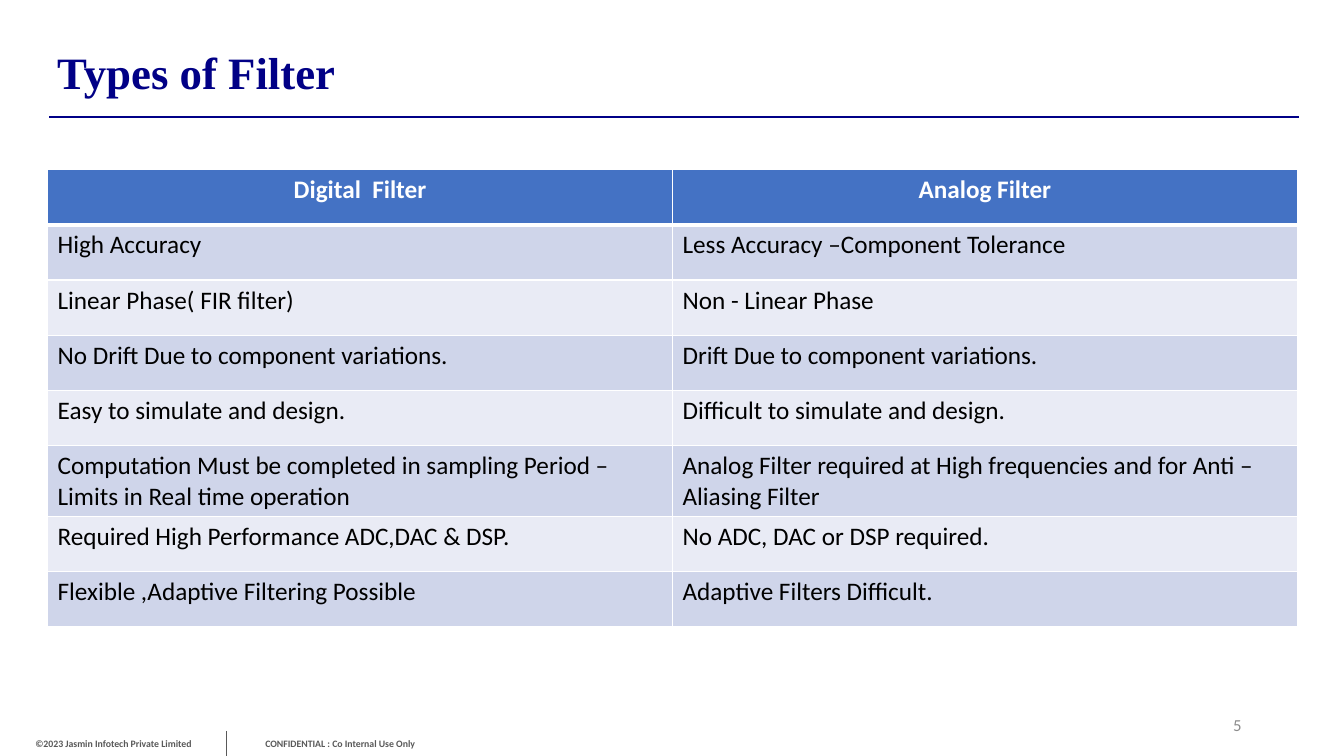
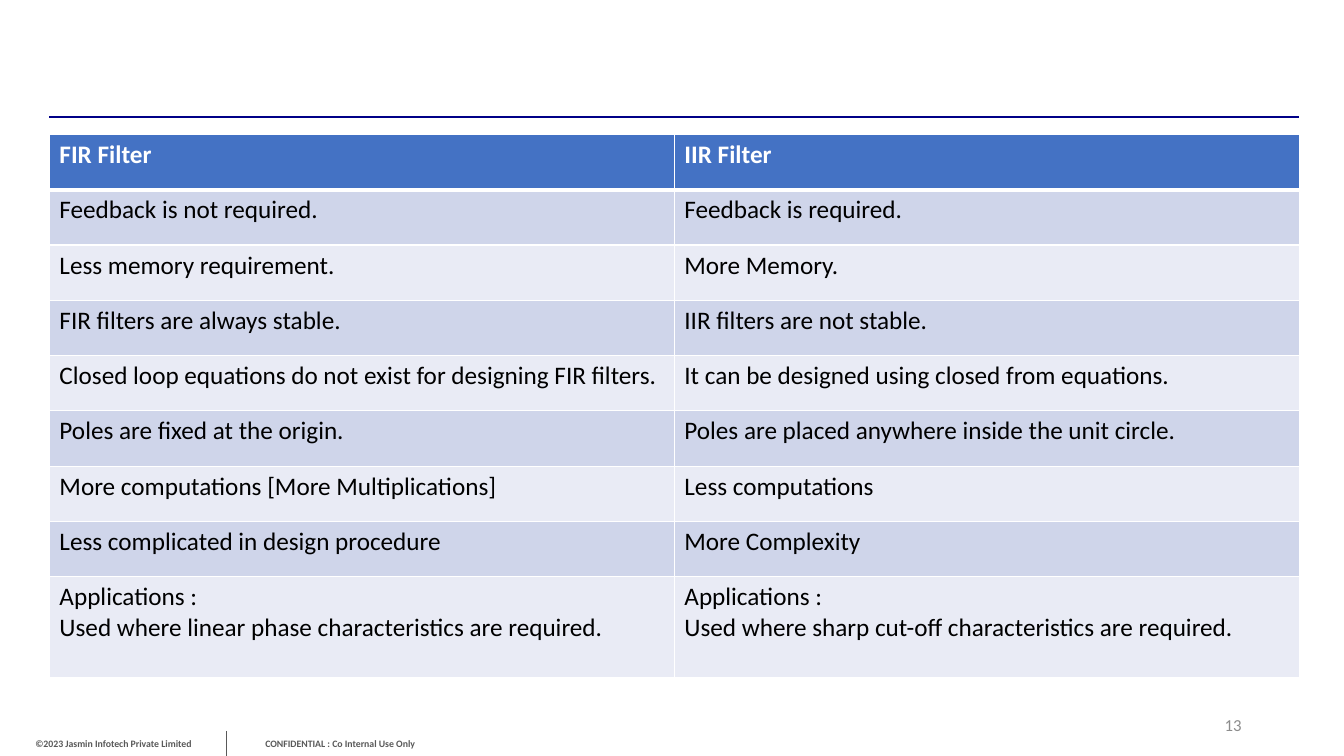
import pptx
import pptx.dml.color
import pptx.enum.shapes
import pptx.enum.text
import pptx.oxml.ns
import pptx.util
from lxml import etree

Pt = pptx.util.Pt
ALIGN = pptx.enum.text.PP_ALIGN
ANCHOR = pptx.enum.text.MSO_ANCHOR

COLOURS = {
    "title": "010086",
    "rule": "000087",
    "footer": "595959",
    "number": "8C8C8C",
    "header": "4472C4",
    "band_dark": "CFD5EA",
    "band_light": "E9EBF5",
    "white": "FFFFFF",
    "black": "000000",
}
BODY_FONT = "Calibri"
TITLE_FONT = "Times New Roman"
COLUMN_WIDTH = 446.4
ROW_HEIGHT = 39.5

FILTER_TYPES = [
    ("Digital  Filter", "Analog Filter"),
    ("High Accuracy", "Less Accuracy –Component Tolerance"),
    ("Linear Phase( FIR filter)", "Non - Linear Phase"),
    ("No Drift Due to component variations.", "Drift Due to component variations."),
    ("Easy to simulate and design.", "Difficult to simulate and design."),
    ("Computation Must be completed in sampling Period – Limits in Real time operation",
     "Analog Filter required at High frequencies and for Anti –Aliasing Filter"),
    ("Required High Performance ADC,DAC & DSP.", "No ADC, DAC or DSP required."),
    ("Flexible ,Adaptive Filtering Possible", "Adaptive Filters Difficult."),
]
FIR_AND_IIR = [
    ("FIR Filter", "IIR Filter"),
    ("Feedback is not required.", "Feedback is required."),
    ("Less memory requirement.", "More Memory."),
    ("FIR filters are always stable.", "IIR filters are not stable."),
    ("Closed loop equations do not exist for designing FIR filters.",
     "It can be designed using closed from equations."),
    ("Poles are fixed at the origin.", "Poles are placed anywhere inside the unit circle."),
    ("More computations [More Multiplications]", "Less computations"),
    ("Less complicated in design procedure", "More Complexity"),
    ("Applications :\nUsed where linear phase characteristics are required.",
     "Applications :\nUsed where sharp cut-off characteristics are required."),
]


def rgb(name):
    return pptx.dml.color.RGBColor.from_string(COLOURS[name])


def write_text(frame, text, size=18, font=BODY_FONT, colour="black", bold=False,
               align=ALIGN.LEFT):
    frame.word_wrap = True
    for index, line in enumerate(text.split("\n")):
        para = frame.add_paragraph() if index else frame.paragraphs[0]
        para.alignment = align
        span = para.add_run()
        span.text = line
        span.font.size = Pt(size)
        span.font.name = font
        span.font.bold = bold
        span.font.color.rgb = rgb(colour)


def add_text(page, text, left, top, width, height, **text_format):
    box = page.shapes.add_textbox(Pt(left), Pt(top), Pt(width), Pt(height))
    box.text_frame.vertical_anchor = ANCHOR.MIDDLE
    write_text(box.text_frame, text, **text_format)


def add_line(page, start, end, colour, width):
    line = page.shapes.add_connector(
        pptx.enum.shapes.MSO_CONNECTOR.STRAIGHT, *(Pt(value) for value in start + end))
    line.line.color.rgb = rgb(colour)
    line.line.width = Pt(width)
    etree.SubElement(line._element.spPr, pptx.oxml.ns.qn("a:effectLst"))


def set_borders(cell, top, bottom):
    properties = cell._tc.get_or_add_tcPr()
    for side, width in (("L", 1), ("R", 1), ("T", top), ("B", bottom)):
        border = etree.SubElement(properties, pptx.oxml.ns.qn("a:ln" + side), w=str(Pt(width)))
        fill = etree.SubElement(border, pptx.oxml.ns.qn("a:solidFill"))
        etree.SubElement(fill, pptx.oxml.ns.qn("a:srgbClr"), val=COLOURS["white"])


def add_comparison(page, rows, left, top, header_align=ALIGN.LEFT, last_height=ROW_HEIGHT):
    heights = [ROW_HEIGHT] * (len(rows) - 1) + [last_height]
    table = page.shapes.add_table(len(rows), 2, Pt(left), Pt(top),
                                  Pt(2 * COLUMN_WIDTH), Pt(sum(heights))).table
    for column in table.columns:
        column.width = Pt(COLUMN_WIDTH)
    for row_index, texts in enumerate(rows):
        table.rows[row_index].height = Pt(heights[row_index])
        is_header = row_index == 0
        band = "header" if is_header else "band_dark" if row_index % 2 else "band_light"
        for column_index, text in enumerate(texts):
            cell = table.cell(row_index, column_index)
            set_borders(cell, top=3 if row_index == 1 else 1, bottom=3 if is_header else 1)
            cell.fill.solid()
            cell.fill.fore_color.rgb = rgb(band)
            write_text(cell.text_frame, text, bold=is_header,
                       colour="white" if is_header else "black",
                       align=header_align if is_header else ALIGN.LEFT)


def add_page(deck, number):
    page = deck.slides.add_slide(deck.slide_layouts[6])
    footer = dict(size=7, colour="footer", bold=True, align=ALIGN.CENTER)
    add_text(page, "CONFIDENTIAL : Co Internal Use Only", 150, 523.5, 186, 15.8, **footer)
    add_text(page, "©2023 Jasmin Infotech Private Limited", 0, 523.5, 162, 15.8, **footer)
    add_line(page, (162, 522), (162, 540), "footer", 0.5)
    add_line(page, (35.3, 83.5), (928.1, 83.5), "rule", 1.5)
    add_text(page, str(number), 798, 505.5, 96, 24, size=12, colour="number",
             align=ALIGN.RIGHT)
    return page


def main():
    deck = pptx.Presentation()
    deck.slide_width = Pt(960)
    deck.slide_height = Pt(540)

    page = add_page(deck, 5)
    add_text(page, "Types of Filter", 33.8, 28.1, 805.7, 46, size=32, font=TITLE_FONT,
             colour="title", bold=True)
    add_comparison(page, FILTER_TYPES, 34, 121, header_align=ALIGN.CENTER)

    page = add_page(deck, 13)
    add_comparison(page, FIR_AND_IIR, 35.3, 96, last_height=72)

    deck.save("out.pptx")


if __name__ == "__main__":
    main()
